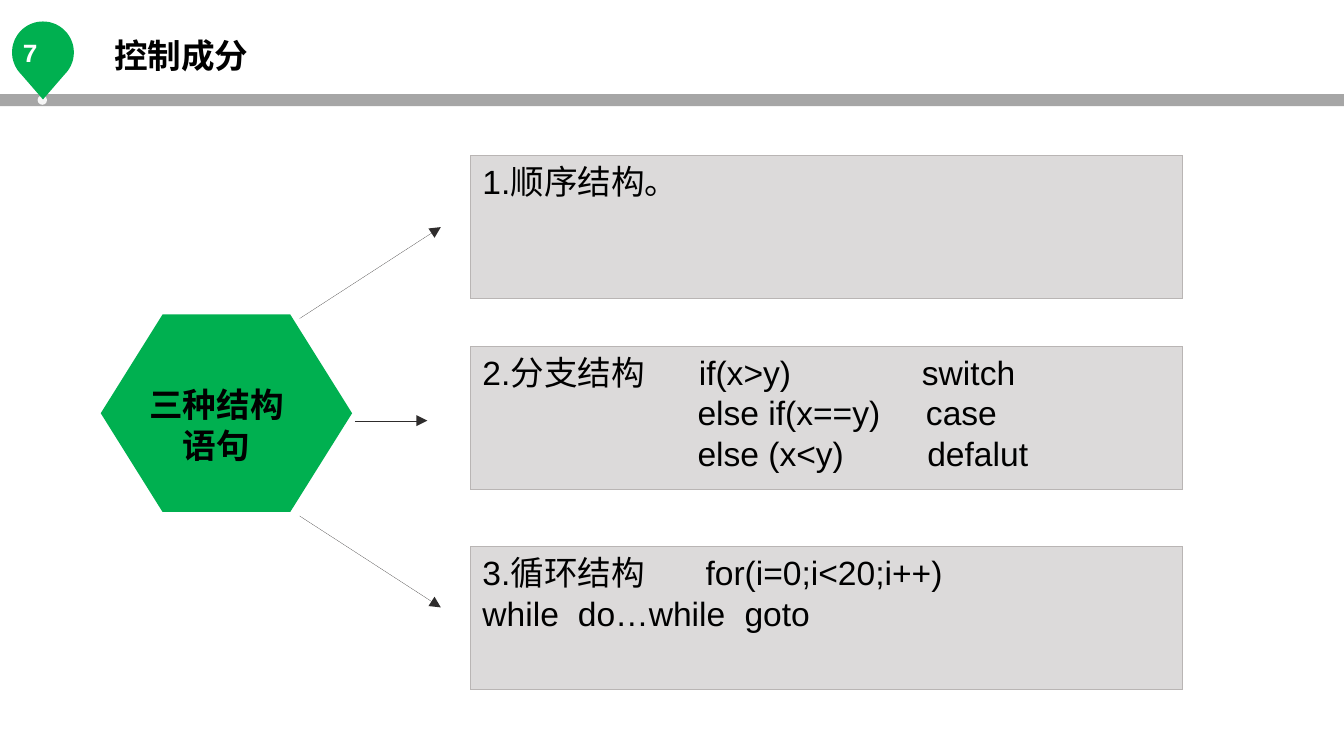
from dataclasses import dataclass
from math import cos, radians, sin

from lxml import etree
from pptx import Presentation
from pptx.dml.color import RGBColor
from pptx.enum.shapes import MSO_CONNECTOR, MSO_SHAPE
from pptx.enum.text import MSO_ANCHOR, PP_ALIGN
from pptx.oxml.ns import qn
from pptx.util import Inches, Pt

LINE = MSO_CONNECTOR.STRAIGHT
RECT = MSO_SHAPE.RECTANGLE
OVAL = MSO_SHAPE.OVAL
HEX = MSO_SHAPE.HEXAGON
TOP = MSO_ANCHOR.TOP
LEFT = PP_ALIGN.LEFT
MID = PP_ALIGN.CENTER

COLORS = {
    "green": "00B050", "bar": "A6A6A6", "dot": "F6F6F6", "box": "DCDADA",
    "edge": "B9B5B4", "arrow": "2E2C2C", "text": "000000", "white": "FFFFFF",
}


@dataclass
class Row:
    """One line of text and the tab stops, in inches, that place its parts."""
    text: str
    tabs: tuple = ()


@dataclass
class Box:
    top: float
    rows: list[Row]


@dataclass
class Arrow:
    start: tuple[float, float]
    end: tuple[float, float]


BOXES = [
    Box(1.16, [Row("1.顺序结构。")]),
    Box(2.58, [
        Row("2.分支结构\tif(x>y)\tswitch", (1.61, 3.27)),
        Row("\telse if(x==y)\tcase", (1.6, 3.3)),
        Row("\telse (x<y)\tdefalut", (1.6, 3.31)),
    ]),
    Box(4.07, [
        Row("3.循环结构\tfor(i=0;i<20;i++)", (1.66,)),
        Row("while\tdo…while\tgoto", (0.71, 1.95)),
    ]),
]
ARROWS = [
    Arrow((2.23, 2.37), (3.28, 1.69)),
    Arrow((2.64, 3.13), (3.18, 3.13)),
    Arrow((2.23, 3.84), (3.28, 4.52)),
]


def color(name: str) -> RGBColor:
    return RGBColor.from_string(COLORS[name])


def hairline(shape, ink: str):
    """Give the thinnest line; a zero width has to be written out in XML."""
    shape.line.color.rgb = color(ink)
    line = shape._element.spPr.find(qn("a:ln"))
    line.set("w", "0")
    return line


def paint(shape, fill: str, edge: str = "") -> None:
    shape.shadow.inherit = False
    shape.fill.solid()
    shape.fill.fore_color.rgb = color(fill)
    if edge:
        hairline(shape, edge)
    else:
        shape.line.fill.background()


def add_shape(slide, kind, at: tuple, fill: str, edge: str = ""):
    shape = slide.shapes.add_shape(kind, *map(Inches, at))
    paint(shape, fill, edge)
    return shape


def set_tabs(para, stops: tuple) -> None:
    tabs = etree.SubElement(para._p.get_or_add_pPr(), qn("a:tabLst"))
    for stop in stops:
        etree.SubElement(tabs, qn("a:tab"), pos=str(Inches(stop)), algn="l")


def write(frame, rows: list[Row], align=LEFT, bold: bool = False,
          size: int = 18, face: str = "Arial", ink: str = "text") -> None:
    frame.vertical_anchor = TOP
    for i, row in enumerate(rows):
        para = frame.add_paragraph() if i else frame.paragraphs[0]
        para.alignment = align
        if row.tabs:
            set_tabs(para, row.tabs)
        run = para.add_run()
        run.text = row.text
        font = run.font
        font.name, font.size, font.bold = face, Pt(size), bold
        font.color.rgb = color(ink)


def add_label(slide, at: tuple, text: str, wrap: bool = True, **style):
    frame = slide.shapes.add_textbox(*map(Inches, at)).text_frame
    frame.word_wrap = wrap
    write(frame, [Row(text)], bold=True, **style)
    return frame


def add_pin(slide) -> None:
    """Draw a round head, open below between its diagonals, with a tip."""
    x, y, rad, tip = 0.32, 0.39, 0.23, 0.74
    arc = [(Inches(x + rad * cos(radians(a))), Inches(y + rad * sin(radians(a))))
           for a in range(135, 406, 5)]
    path = slide.shapes.build_freeform(Inches(x), Inches(tip))
    path.add_line_segments(arc, close=True)
    paint(path.convert_to_shape(), "green")


def add_arrow(slide, arrow: Arrow) -> None:
    shape = slide.shapes.add_connector(
        LINE, *map(Inches, arrow.start + arrow.end))
    line = hairline(shape, "arrow")
    etree.SubElement(line, qn("a:tailEnd"), type="triangle")
    etree.SubElement(shape._element.spPr, qn("a:effectLst"))


def add_box(slide, box: Box) -> None:
    shape = add_shape(slide, RECT, (3.5, box.top, 5.3, 1.06), "box", "edge")
    frame = shape.text_frame
    frame.word_wrap = True
    frame.margin_left = frame.margin_right = Inches(0.09)
    frame.margin_top = frame.margin_bottom = Inches(0.04)
    write(frame, box.rows)


def main() -> None:
    deck = Presentation()
    deck.slide_width = Inches(10)
    deck.slide_height = deck.slide_width * 9 // 16
    slide = deck.slides.add_slide(deck.slide_layouts[6])

    add_shape(slide, RECT, (0, 0.7, 10, 0.09), "bar")
    add_shape(slide, OVAL, (0.28, 0.71, 0.07, 0.07), "dot")
    add_pin(slide)
    number = add_label(slide, (-0.04, 0.23, 0.65, 0.3), "7", align=MID,
                       size=14, face="Courier New", ink="white")
    number.margin_left, number.margin_right = Inches(0.07), Inches(0.19)
    number.margin_top = number.margin_bottom = Inches(0.04)
    add_label(slide, (0.75, 0.21, 1.21, 0.4), "控制成分", wrap=False)

    hexagon = add_shape(slide, HEX, (0.75, 2.34, 1.87, 1.47), "green")
    hexagon.adjustments[0] = 0.46 / 1.47
    for arrow in ARROWS:
        add_arrow(slide, arrow)
    for box in BOXES:
        add_box(slide, box)
    add_label(slide, (0.9, 2.81, 1.42, 0.7), "三种结构语句", align=MID)

    deck.save("out.pptx")


if __name__ == "__main__":
    main()
